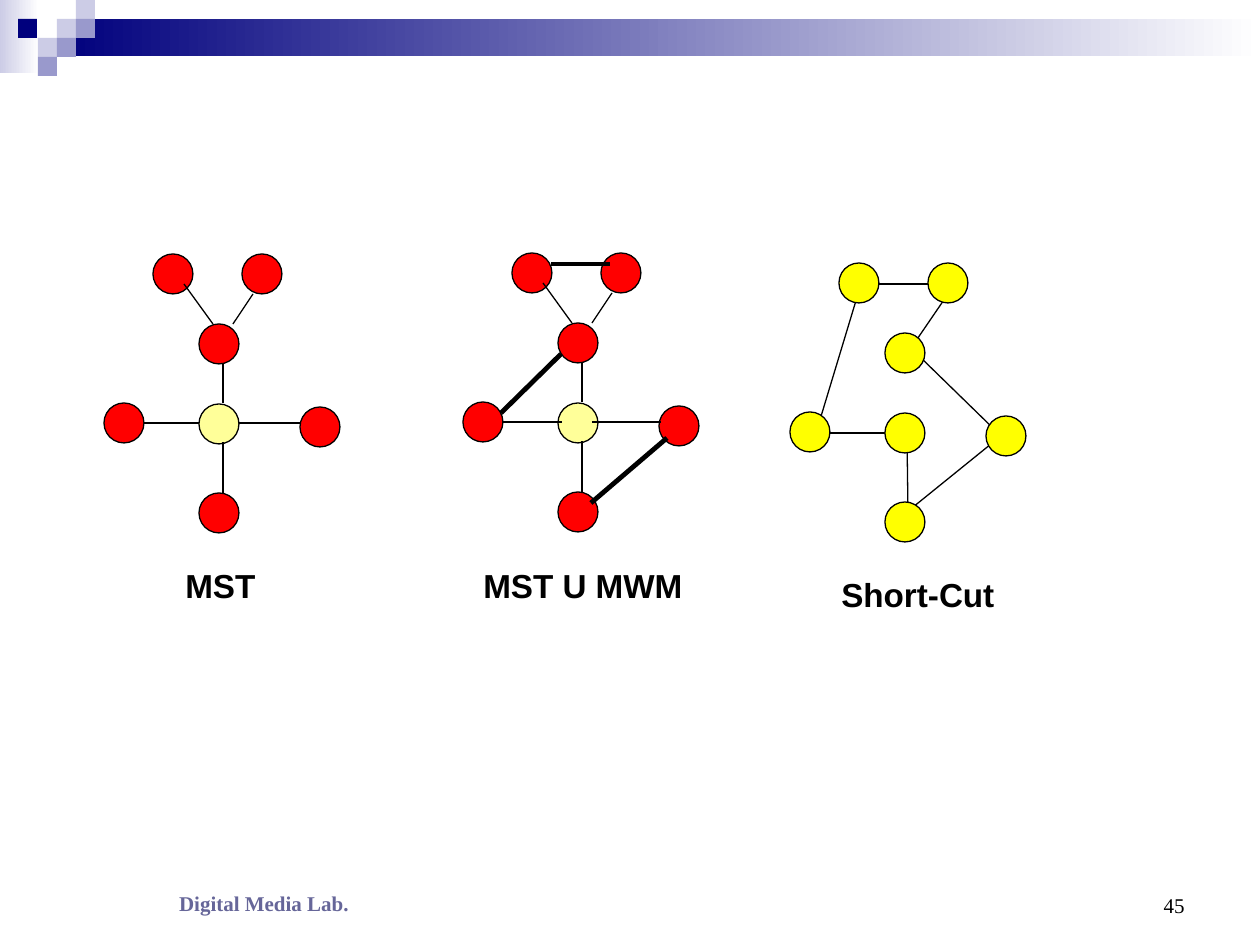
from pptx import Presentation
from pptx.dml.color import RGBColor
from pptx.enum.shapes import MSO_CONNECTOR, MSO_SHAPE
from pptx.enum.text import MSO_ANCHOR, PP_ALIGN
from pptx.oxml.ns import qn
from pptx.util import Emu, Pt
from lxml.etree import SubElement

WHITE = RGBColor(0xFF, 0xFF, 0xFF)
BLACK = RGBColor(0x00, 0x00, 0x00)
NAVY = RGBColor(0x00, 0x00, 0x7D)
PALE = RGBColor(0xCC, 0xCC, 0xE6)
LAVENDER = RGBColor(0x99, 0x99, 0xCC)
SLATE = RGBColor(0x66, 0x66, 0x99)
RED = RGBColor(0xFF, 0x00, 0x00)
CREAM = RGBColor(0xFF, 0xFF, 0x99)
YELLOW = RGBColor(0xFF, 0xFF, 0x00)

LABEL = dict(name="Arial", size=Pt(19), bold=True)
FOOTER = dict(name="Times New Roman", size=Pt(12), bold=True)
NUMBER = dict(name="Times New Roman", size=Pt(12), bold=False)

NODE = 40
HUB = 4
NODES = [(49, 0), (138, 0), (95, 70), (0, 149), (95, 150), (196, 153), (95, 239)]
BRANCHES = [(80, 30, 109, 70), (129, 70, 149, 40), (119, 109, 119, 149), (119, 188, 119, 239)]
ARMS = [(129, 169, 198, 169), (40, 169, 99, 169)]
MATCHING = [(88, 11, 147, 11), (38, 160, 98, 101), (128, 250, 204, 185)]
TOUR = [(127, 91, 207, 169), (108, 170, 29, 170), (158, 31, 117, 91), (117, 170, 118, 249),
        (227, 160, 117, 249), (158, 21, 78, 21), (68, 31, 29, 160)]


def px(n):
    return Emu(round(n * 914400 / 126))


class Deck:
    def __init__(self, width, height):
        self.prs = Presentation()
        self.prs.slide_width, self.prs.slide_height = px(width), px(height)
        self.s = self.prs.slides.add_slide(self.prs.slide_layouts[6])

    def shape(self, kind, x, y, w, h, fill, line=None):
        sp = self.s.shapes.add_shape(kind, px(x), px(y), px(w), px(h))
        sp.shadow.inherit = False
        if isinstance(fill, list):
            sp.fill.gradient()
            sp.fill.gradient_angle = 0
            for stop, color in zip(sp.fill.gradient_stops, fill):
                stop.color.rgb = color
        else:
            sp.fill.solid()
            sp.fill.fore_color.rgb = fill
        if line is None:
            sp.line.fill.background()
        else:
            sp.line.color.rgb = line
            sp.line.width = Pt(0.75)

    def rect(self, x, y, w, h, fill):
        self.shape(MSO_SHAPE.RECTANGLE, x, y, w, h, fill)

    def edges(self, origin, ends, width=0.75):
        ox, oy = origin
        for x1, y1, x2, y2 in ends:
            c = self.s.shapes.add_connector(
                MSO_CONNECTOR.STRAIGHT, px(ox + x1), px(oy + y1), px(ox + x2), px(oy + y2))
            c.line.color.rgb = BLACK
            c.line.width = Pt(width)
            SubElement(c._element.spPr, qn("a:effectLst"))

    def nodes(self, origin, fill, hub_fill):
        ox, oy = origin
        for i, (x, y) in enumerate(NODES):
            color = hub_fill if i == HUB else fill
            self.shape(MSO_SHAPE.OVAL, ox + x, oy + y, NODE, NODE, color, BLACK)

    def text(self, x, y, w, h, text, style, color=BLACK, align=PP_ALIGN.LEFT,
             anchor=MSO_ANCHOR.TOP, wrap=False):
        tf = self.s.shapes.add_textbox(px(x), px(y), px(w), px(h)).text_frame
        tf.word_wrap = wrap
        tf.vertical_anchor = anchor
        p = tf.paragraphs[0]
        p.alignment = align
        r = p.add_run()
        r.text = text
        for key, value in style.items():
            setattr(r.font, key, value)
        r.font.color.rgb = color


def main():
    d = Deck(1260, 945)

    d.rect(0, 0, 39, 73, [PALE, WHITE])
    d.rect(57, 19, 1203, 37, [NAVY, WHITE])
    for x, y, color in [(57, 19, PALE), (76, 0, PALE), (76, 19, LAVENDER), (38, 38, PALE),
                        (18, 19, NAVY), (57, 38, LAVENDER), (38, 57, LAVENDER)]:
        d.rect(x, y, 19, 19, color)

    mst, union, short_cut = (104, 254), (463, 253), (790, 263)

    d.edges(mst, ARMS)
    d.nodes(mst, RED, CREAM)
    d.edges(mst, BRANCHES)

    d.nodes(union, RED, CREAM)
    d.edges(union, BRANCHES + ARMS)
    d.edges(union, MATCHING, 2.75)

    d.edges(short_cut, TOUR)
    d.nodes(short_cut, YELLOW, YELLOW)

    for x, y, w, label in [(173, 559, 95, "MST"), (471, 559, 224, "MST U MWM"),
                           (829, 568, 178, "Short-Cut")]:
        d.text(x, y, w, 53, label, LABEL)

    d.text(64, 859, 400, 63, "Digital Media Lab.", FOOTER, SLATE,
           PP_ALIGN.CENTER, MSO_ANCHOR.BOTTOM, True)
    d.text(903, 861, 294, 63, "45", NUMBER, BLACK,
           PP_ALIGN.RIGHT, MSO_ANCHOR.BOTTOM, True)

    d.prs.save("out.pptx")


if __name__ == "__main__":
    main()
